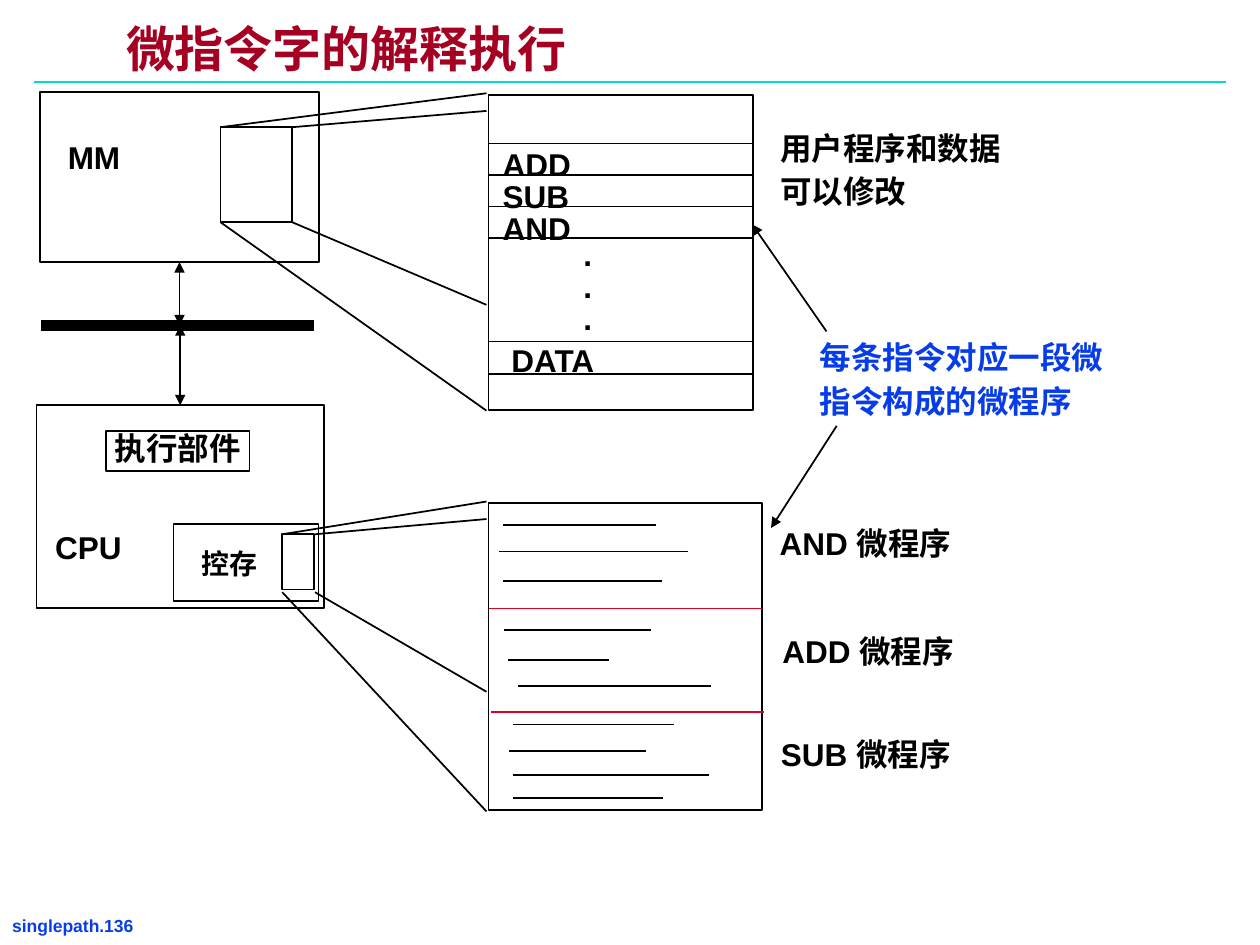
"""Build the slide on how micro-instruction words are interpreted."""
import dataclasses

import lxml.etree
import pptx
import pptx.dml.color
import pptx.enum.shapes
import pptx.enum.text
import pptx.oxml.ns
import pptx.util

Pt = pptx.util.Pt
qn = pptx.oxml.ns.qn


@dataclasses.dataclass(frozen=True)
class Theme:
    """Hold the colours, font and type sizes of the slide."""
    font: str = "Arial"
    ink: str = "000000"
    blue: str = "063DE8"
    wine: str = "A50021"
    red: str = "D90125"
    teal: str = "00DFCA"
    head: int = 28
    body: int = 18
    note: int = 16
    foot: int = 10


THEME = Theme()


def color(code):
    """Turn a hex code into a colour."""
    return pptx.dml.color.RGBColor.from_string(code)


def write(frame, lines, size=THEME.body, ink=THEME.ink, lead=0.85, wrap=False, align="LEFT"):
    """Fill a text frame, one paragraph to a line."""
    frame.word_wrap = wrap
    frame.auto_size = pptx.enum.text.MSO_AUTO_SIZE.SHAPE_TO_FIT_TEXT
    frame.margin_left = frame.margin_right = Pt(5)
    frame.margin_top = frame.margin_bottom = Pt(2.2)
    for num, line in enumerate(lines):
        para = frame.add_paragraph() if num else frame.paragraphs[0]
        para.alignment = getattr(pptx.enum.text.PP_ALIGN, align)
        para.line_spacing = lead
        run = para.add_run()
        run.text = line
        run.font.name = THEME.font
        run.font.size = Pt(size)
        run.font.bold = True
        run.font.color.rgb = color(ink)


def place(shape, left, top, width, height):
    """Move and size a shape."""
    shape.left, shape.top = Pt(left), Pt(top)
    shape.width, shape.height = Pt(width), Pt(height)


def title(slide, text):
    """Set the title placeholder."""
    shape = slide.shapes.title
    place(shape, 67, 13.7, 380, 32.4)
    write(shape.text_frame, [text], THEME.head, THEME.wine, wrap=True)
    shape.text_frame.vertical_anchor = pptx.enum.text.MSO_ANCHOR.TOP


def label(slide, area, *lines, **style):
    """Add a text box."""
    box = slide.shapes.add_textbox(*map(Pt, area))
    write(box.text_frame, lines, **style)


def frame(slide, *area):
    """Add an unfilled rectangle."""
    kind = pptx.enum.shapes.MSO_SHAPE.RECTANGLE
    box = slide.shapes.add_shape(kind, *map(Pt, area))
    box.shadow.inherit = False
    box.fill.background()
    box.line.color.rgb = color(THEME.ink)
    box.line.width = Pt(1)
    return box


def line(slide, start, end, ink=THEME.ink, width=1, tips=()):
    """Add a straight line, with arrowheads at the named ends."""
    kind = pptx.enum.shapes.MSO_CONNECTOR.STRAIGHT
    link = slide.shapes.add_connector(kind, *map(Pt, start + end))
    link.line.color.rgb = color(ink)
    link.line.width = Pt(width)
    for tip in tips:
        lxml.etree.SubElement(link.line._get_or_add_ln(), qn("a:" + tip), type="triangle")
    lxml.etree.SubElement(link._element.spPr, qn("a:effectLst"))
    return link


def zoom(slide, left, right, top, base, ends):
    """Draw the four rays from a small cell to its enlarged view."""
    starts = (left, top), (right, top), (right, base), (left, base)
    for start, end in zip(starts, ends):
        line(slide, start, (278, end))


def memory(slide):
    """Draw main memory and its enlarged content."""
    box = frame(slide, 23, 52.6, 159.2, 97.2)
    label(slide, (33.8, 79.9, 40.3, 22.3), "MM")
    frame(slide, 126, 72.7, 41, 54)
    frame(slide, 279.2, 54.5, 151.2, 180)
    for y in [82 + 18 * num for num in range(4)] + [195.1, 213.8]:
        line(slide, (279.2, y), (430, y))
    label(slide, (282.2, 84, 49, 59), "ADD", "SUB", "AND")
    label(slide, (287.3, 195.8, 59.8, 22.3), "DATA")
    label(slide, (328.3, 135.2, 15.1, 59), *"...")
    zoom(slide, 126, 167, 72.7, 127, (53.3, 63.4, 174.2, 234.7))
    return box


def cpu(slide):
    """Draw the processor with its control store."""
    box = frame(slide, 20.9, 231.6, 164.2, 115.9)
    unit = frame(slide, 60.5, 246.2, 82.1, 23)
    write(unit.text_frame, ["执行部件"], lead=0.88, align="CENTER")
    frame(slide, 99.2, 299.5, 82.8, 43.9)
    label(slide, (110, 312.5, 46, 21.6), "控存", size=THEME.note, lead=0.9)
    frame(slide, 161.3, 305.3, 18, 31.7)
    label(slide, (26.6, 302.9, 48.2, 22.3), "CPU")
    zoom(slide, 161.3, 180, 305.3, 338.4, (286.6, 296.6, 395.3, 463.7))
    return box


def bus(slide, upper, lower):
    """Draw the bus and join it to the boxes above and below."""
    y = 185.9
    line(slide, (23.6, y), (179.3, y), width=6)
    both = ("headEnd", "tailEnd")
    down = line(slide, (102.6, 149.8), (102.6, y), tips=both)
    down.begin_connect(upper, 2)
    down = line(slide, (103, y), (103, 231.6), tips=both)
    down.end_connect(lower, 0)


def micro(slide):
    """Draw the microprograms held in the control store."""
    frame(slide, 279.2, 287.3, 156.2, 175.7)
    for left, y in ((279.2, 347.8), (280.8, 406.8)):
        line(slide, (left, y), (left + 156, y), THEME.red)
    strokes = (
        (287.3, 375.1, 300.2), (285.1, 393.1, 315.2), (287.3, 378, 331.9),
        (288, 372.2, 360), (290.2, 347.8, 377.3), (295.9, 406.1, 391.9),
        (293, 385.2, 414), (290.9, 369.4, 429.1), (293, 405.4, 442.8), (293, 378.7, 455.9),
    )
    for left, right, y in strokes:
        line(slide, (left, y), (right, y))
    for name, left, top in (("AND", 440.6, 300.8), ("ADD", 442.1, 362.2), ("SUB", 441.2, 421.2)):
        label(slide, (left, top, 169.9, 22.3), name + " 微程序", wrap=True)


def notes(slide):
    """Add the remarks on the right and their arrows."""
    label(slide, (441, 68.2, 136.8, 54), "用户程序和数据", "可以修改", lead=1.15)
    label(slide, (463.5, 187.9, 186.5, 54), "每条指令对应一段微指令构成的微程序",
          ink=THEME.blue, lead=1.15, wrap=True)
    line(slide, (472.3, 189.4), (429.8, 128.2), tips=("tailEnd",))
    line(slide, (478.1, 243.4), (440.6, 301.7), tips=("tailEnd",))


def main():
    """Build and save the slide."""
    deck = pptx.Presentation()
    deck.slide_width, deck.slide_height = Pt(720), Pt(540)
    slide = deck.slides.add_slide(deck.slide_layouts[5])
    title(slide, "微指令字的解释执行")
    line(slide, (19.4, 46.8), (700.6, 46.8), THEME.teal, 1.5)
    label(slide, (2, 520.6, 110.9, 15.8), "singlepath.136",
          size=THEME.foot, ink=THEME.blue, lead=1)
    bus(slide, memory(slide), cpu(slide))
    micro(slide)
    notes(slide)
    deck.save("out.pptx")


if __name__ == "__main__":
    main()
